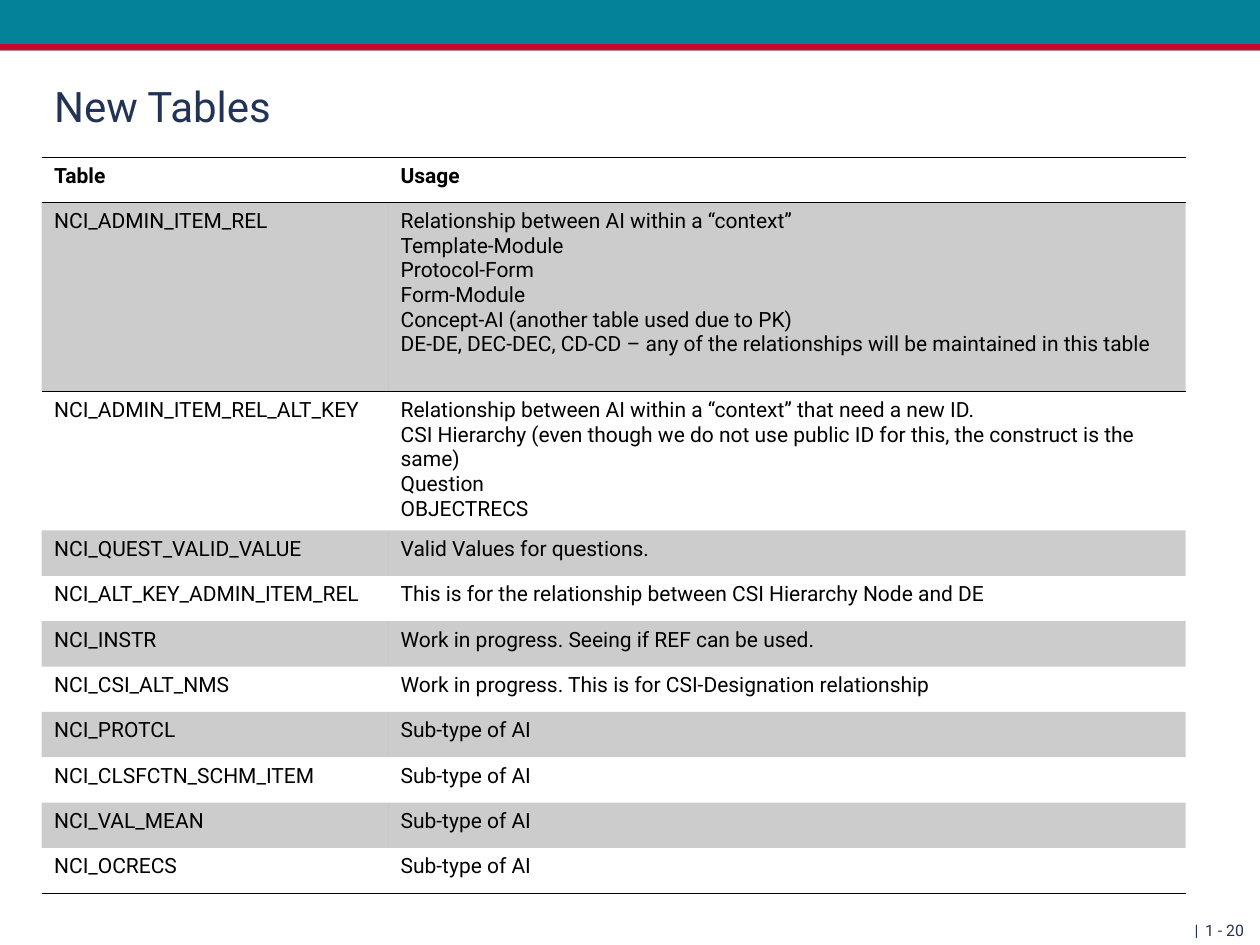
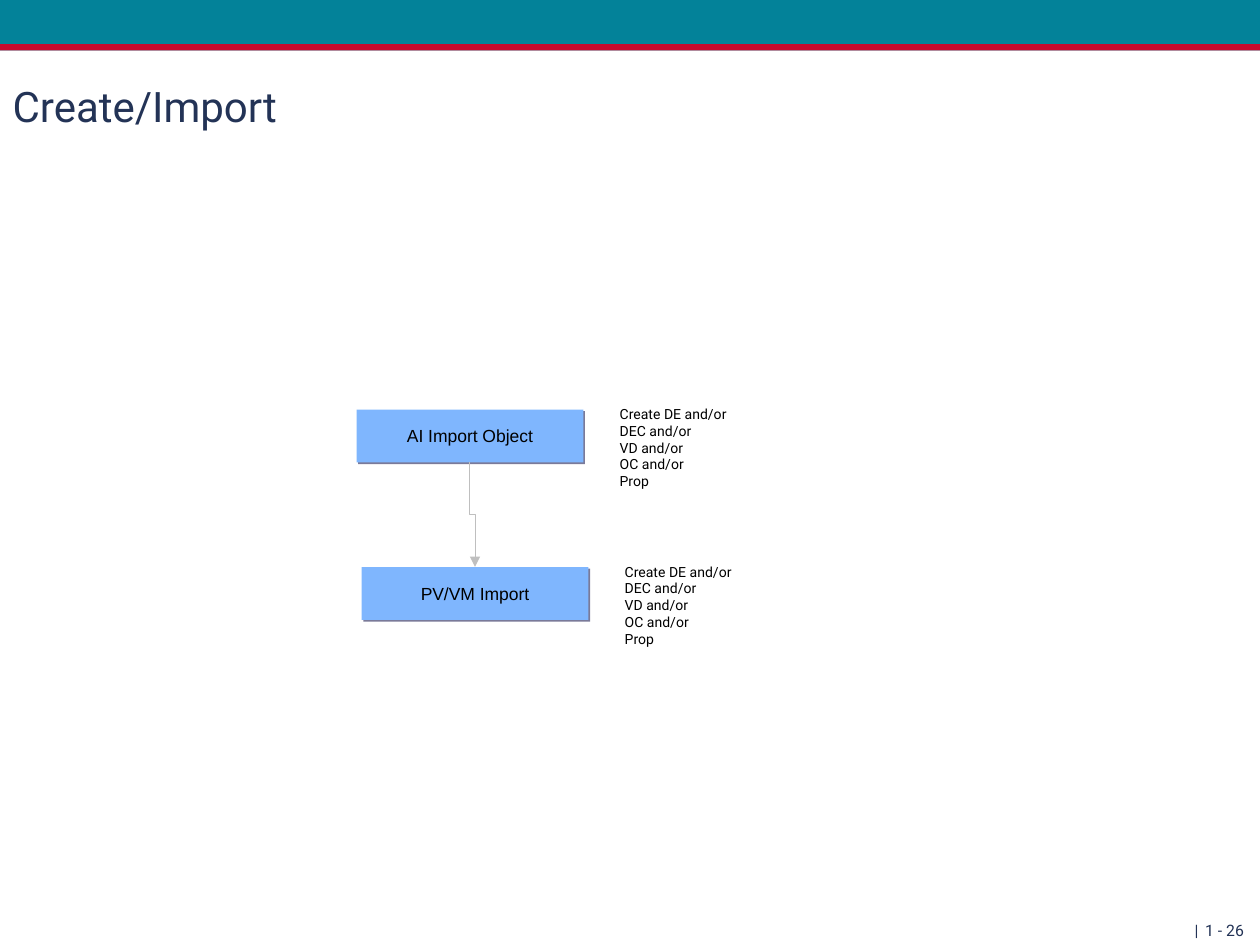
from lxml.etree import SubElement
from pptx import Presentation
from pptx.dml.color import RGBColor
from pptx.enum.shapes import MSO_CONNECTOR, MSO_SHAPE
from pptx.enum.text import MSO_ANCHOR, MSO_AUTO_SIZE, PP_ALIGN
from pptx.oxml.ns import qn
from pptx.util import Pt

PX = 9144  # 100 px to the inch
COLORS = {
    "navy": "233356",
    "teal": "038299",
    "red": "C6092D",
    "black": "000000",
    "box": "7FB6FE",
    "shadow": "7A7A99",
    "arrow": "BFBFBF",
}
FONT = "Roboto"
BOX_FONT = "Arial"
PLAIN_TABLE_STYLE = "{2D5ABB26-0587-4C30-8999-92F81FD0307C}"

SUBTYPE = "Sub-type of AI"
NEW_TABLES = [
    ("Table", "Usage"),
    ("NCI_ADMIN_ITEM_REL",
     "Relationship between AI within a “context”\n"
     "Template-Module\n"
     "Protocol-Form\n"
     "Form-Module\n"
     "Concept-AI (another table used due to PK)\n"
     "DE-DE, DEC-DEC, CD-CD – any of the relationships will be maintained in this table"),
    ("NCI_ADMIN_ITEM_REL_ALT_KEY",
     "Relationship between AI within a “context” that need a new ID.\n"
     "CSI Hierarchy (even though we do not use public ID for this, the construct is the same)\n"
     "Question\n"
     "OBJECTRECS"),
    ("NCI_QUEST_VALID_VALUE", "Valid Values for questions."),
    ("NCI_ALT_KEY_ADMIN_ITEM_REL",
     "This is for the relationship between CSI Hierarchy Node and DE"),
    ("NCI_INSTR", "Work in progress. Seeing if REF can be used."),
    ("NCI_CSI_ALT_NMS", "Work in progress. This is for CSI-Designation relationship"),
    ("NCI_PROTCL", SUBTYPE),
    ("NCI_CLSFCTN_SCHM_ITEM", SUBTYPE),
    ("NCI_VAL_MEAN", SUBTYPE),
    ("NCI_OCRECS", SUBTYPE),
]
IMPORT_STEPS = "Create DE and/or\nDEC and/or\nVD and/or\nOC and/or\nProp"


def rgb(name):
    return RGBColor.from_string(COLORS[name])


def px(*lengths):
    return [length * PX for length in lengths]


class SlideBuilder:
    def __init__(self, deck):
        self.deck = deck
        self.slide = None

    def start(self, title, title_left, page):
        """Add a slide with the shared bands, title and page number."""
        self.slide = self.deck.slides.add_slide(self.deck.slide_layouts[5])
        self.rectangle(0, 0, 1000, 40, "teal")
        self.rectangle(0, 35, 1000, 5, "red")
        self.text(352, 723, 645, 27, page, 9, "navy", PP_ALIGN.RIGHT, 1.2)
        self.text(765, 723, 196, 27, "|", 9, "navy", PP_ALIGN.RIGHT, 1.2)
        heading = self.slide.shapes.title
        heading.left, heading.top, heading.width, heading.height = px(title_left, 49, 900, 69)
        heading.text_frame.auto_size = MSO_AUTO_SIZE.NONE
        heading.text_frame.vertical_anchor = MSO_ANCHOR.MIDDLE
        self.fill_text(heading.text_frame, title, 24, "navy")

    def fill_text(self, frame, text, size, color, align=PP_ALIGN.LEFT, spacing=None,
                  font=FONT, bold=False):
        frame.text = text
        for para in frame.paragraphs:
            para.alignment = align
            para.line_spacing = spacing
            for span in para.runs:
                span.font.name = font
                span.font.size = Pt(size)
                span.font.bold = bold
                span.font.color.rgb = rgb(color)

    def text(self, left, top, width, height, text, size, color, align=PP_ALIGN.LEFT,
             spacing=None):
        box = self.slide.shapes.add_textbox(*px(left, top, width, height))
        box.text_frame.word_wrap = True
        self.fill_text(box.text_frame, text, size, color, align, spacing)

    def rectangle(self, left, top, width, height, color):
        shape = self.slide.shapes.add_shape(MSO_SHAPE.RECTANGLE, *px(left, top, width, height))
        shape.shadow.inherit = False
        shape.fill.solid()
        shape.fill.fore_color.rgb = rgb(color)
        shape.line.fill.background()
        return shape

    def process_box(self, left, top, label):
        box = self.rectangle(left, top, 180, 42, "box")
        effects = box.element.spPr.find(qn("a:effectLst"))
        shadow = SubElement(effects, qn("a:outerShdw"), dist=str(Pt(1.4)), dir="2700000",
                            algn="ctr", rotWithShape="0")
        SubElement(shadow, qn("a:srgbClr"), val=COLORS["shadow"])
        box.text_frame.vertical_anchor = MSO_ANCHOR.MIDDLE
        self.fill_text(box.text_frame, label, 10, "black", PP_ALIGN.CENTER, font=BOX_FONT)
        return box

    def elbow_arrow(self, upper, lower):
        """Join two boxes by an arrow that leaves and arrives vertically."""
        arrow = self.slide.shapes.add_connector(MSO_CONNECTOR.ELBOW, 0, 0, PX, PX)
        arrow.begin_connect(upper, 2)
        arrow.end_connect(lower, 0)
        # Turn the frame about its centre so the first segment runs downwards.
        across, down = arrow.width, arrow.height
        arrow.left += (across - down) // 2
        arrow.top += (down - across) // 2
        arrow.width, arrow.height = down, across
        properties = arrow.element.spPr
        frame = properties.find(qn("a:xfrm"))
        frame.set("rot", "16200000")
        frame.set("flipH", "1")
        arrow.line.color.rgb = rgb("arrow")
        arrow.line.width = Pt(0.5)
        SubElement(properties.find(qn("a:ln")), qn("a:tailEnd"), type="triangle")
        SubElement(properties, qn("a:effectLst"))

    def table(self, left, top, widths, heights, rows):
        graphic = self.slide.shapes.add_table(
            len(rows), len(widths), *px(left, top, sum(widths), sum(heights)))
        table = graphic.table
        table.horz_banding = False
        graphic.element.find(".//" + qn("a:tableStyleId")).text = PLAIN_TABLE_STYLE
        for column, width in zip(table.columns, widths):
            column.width = width * PX
        last = len(rows) - 1
        for index, (row, height, values) in enumerate(zip(table.rows, heights, rows)):
            row.height = height * PX
            for cell, value in zip(row.cells, values):
                self.fill_text(cell.text_frame, value, 12, "black", bold=index == 0)
                self.shade(cell, index % 2 == 1)
                if index in (0, last):
                    self.border(cell, "a:lnB")
                if index in (0, 1):
                    self.border(cell, "a:lnT")

    def shade(self, cell, shaded):
        if not shaded:
            cell.fill.background()
            return
        cell.fill.solid()
        cell.fill.fore_color.rgb = rgb("black")
        color = cell._tc.tcPr.find(".//" + qn("a:srgbClr"))
        SubElement(color, qn("a:alpha"), val="20000")

    def border(self, cell, side):
        properties = cell._tc.get_or_add_tcPr()
        line = SubElement(properties, qn(side), w=str(Pt(0.45)))
        fill = SubElement(line, qn("a:solidFill"))
        SubElement(fill, qn("a:srgbClr"), val=COLORS["black"])
        properties.insert(0, line)


def new_tables_slide(builder):
    builder.start("New Tables", 33, "1 - 20")
    heights = [36, 150, 110] + [36] * (len(NEW_TABLES) - 3)
    builder.table(33, 125, [275, 633], heights, NEW_TABLES)


def import_slide(builder):
    builder.start("Create/Import", 0, "1 - 26")
    boxes = []
    for left, top, label in [(283, 325, "AI Import Object"), (287, 450, "PV/VM Import")]:
        boxes.append(builder.process_box(left, top, label))
        builder.text(left + 199, top - 8, 110, 77, IMPORT_STEPS, 8, "black")
    builder.elbow_arrow(*boxes)


def main():
    deck = Presentation()
    deck.slide_width, deck.slide_height = px(1000, 750)
    builder = SlideBuilder(deck)
    new_tables_slide(builder)
    import_slide(builder)
    deck.save("out.pptx")


if __name__ == "__main__":
    main()
